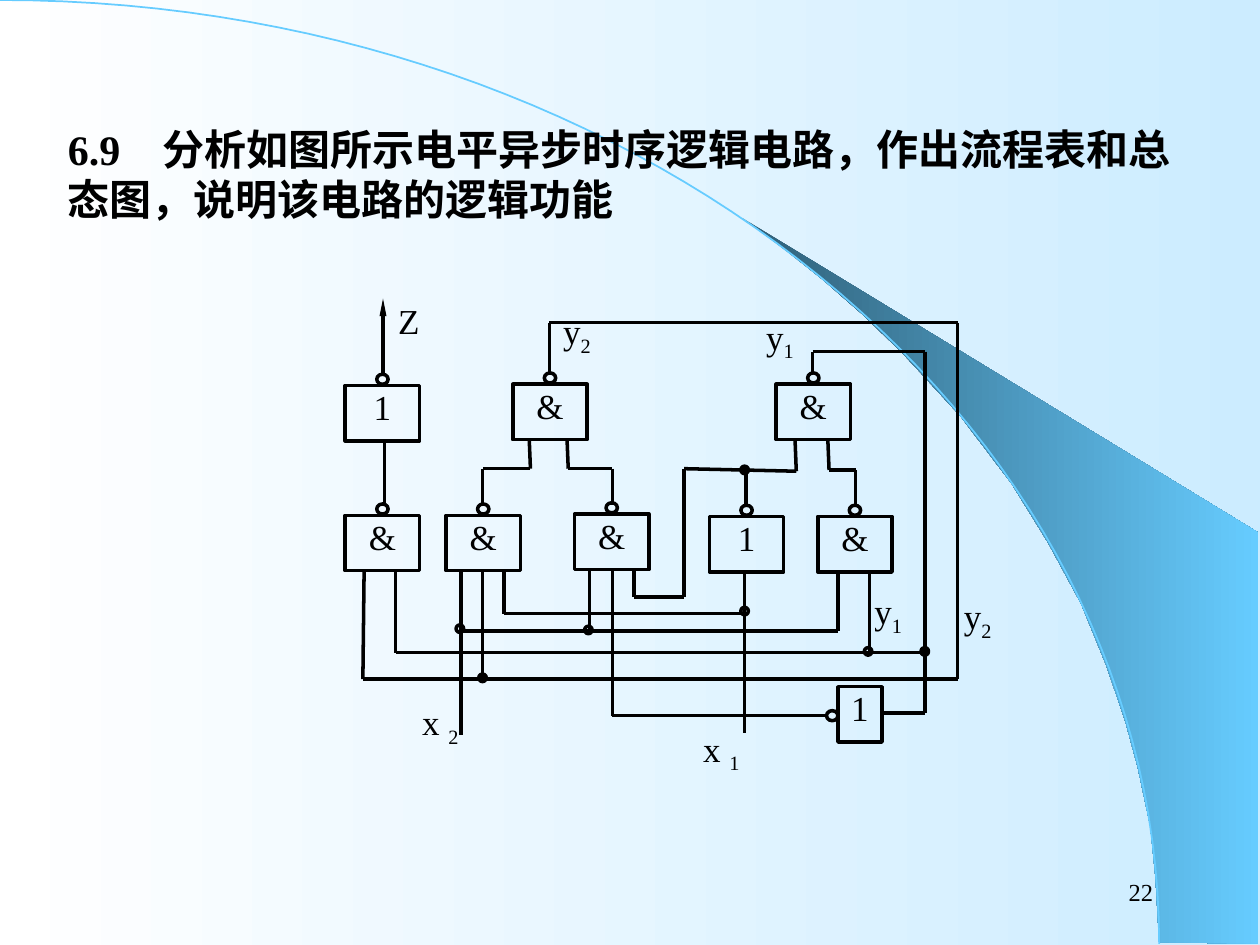
from itertools import pairwise
from typing import NamedTuple

from lxml.etree import SubElement
from pptx import Presentation
from pptx.dml.color import RGBColor
from pptx.dml.fill import FillFormat
from pptx.enum.shapes import MSO_CONNECTOR, MSO_SHAPE
from pptx.enum.text import MSO_ANCHOR, PP_ALIGN
from pptx.oxml.ns import qn
from pptx.shapes.autoshape import Shape
from pptx.slide import Slide
from pptx.text.text import TextFrame, _Paragraph
from pptx.util import Emu, Pt

PX_PER_INCH = 100
LATIN = "Times New Roman"
CHINESE = "Noto Sans CJK SC"
BLACK = "000000"
SKY = "66CCFF"
Point = tuple[float, float]


class Gate(NamedTuple):
    left: int
    top: int
    symbol: str


class Junction(NamedTuple):
    left: int
    top: int
    solid: bool = False


class Label(NamedTuple):
    left: int
    top: int
    letter: str
    index: str = ""


GATES = [
    Gate(274, 306, "1"), Gate(407, 305, "&"), Gate(616, 305, "&"),
    Gate(274, 409, "&"), Gate(354, 409, "&"), Gate(456, 408, "&"),
    Gate(563, 410, "1"), Gate(649, 410, "&"),
]
JUNCTIONS = [
    Junction(588, 482), Junction(588, 370, True), Junction(464, 497),
    Junction(362, 496), Junction(380, 535), Junction(686, 514),
    Junction(731, 514, True),
]
LABELS = [
    Label(608, 250, "y", "1"), Label(447, 246, "y", "2"),
    Label(694, 468, "y", "1"), Label(765, 472, "y", "2"),
    Label(558, 577, "x ", "1"), Label(335, 556, "x ", "2"),
    Label(316, 238, "Z"),
]
WIRES: list[list[Point]] = [
    [(305, 401), (305, 349)],
    [(420, 348), (421, 372), (383, 372), (383, 401)],
    [(450, 348), (451, 372), (486, 372), (486, 401)],
    [(631, 349), (632, 374), (543, 372), (543, 474), (503, 474), (503, 452)],
    [(592, 401), (592, 372)],
    [(657, 348), (658, 373), (679, 373), (679, 401)],
    [(591, 453), (591, 582)],
    [(591, 487), (400, 487), (400, 453)],
    [(665, 454), (665, 501), (365, 501)],
    [(468, 501), (468, 452)],
    [(690, 453), (690, 518)],
    [(734, 518), (314, 518), (314, 453)],
    [(383, 540), (383, 454)],
    [(366, 454), (366, 583)],
    [(289, 453), (288, 539), (760, 539), (760, 256), (436, 256), (436, 297)],
    [(645, 297), (645, 279), (734, 279), (734, 566), (701, 566)],
    [(655, 568), (486, 568), (486, 452)],
]
FAN: list[Point] = [
    (920, 748), (999, 749), (999, 423), (589, 173), (624, 199), (653, 222),
    (685, 250), (716, 280), (762, 330), (803, 384), (832, 431), (858, 479),
    (878, 528), (893, 572), (903, 609), (913, 656), (917, 696),
]


def px(length: float) -> Emu:
    return Emu(round(length * 914400 / PX_PER_INCH))


def color(value: str) -> RGBColor:
    return RGBColor.from_string(value)


def fill_gradient(fill: FillFormat, start: str, end: str) -> None:
    fill.gradient()
    fill.gradient_angle = 0
    for stop, value in zip(fill.gradient_stops, (start, end)):
        stop.color.rgb = color(value)


def add_outline(slide: Slide, points: list[Point], close: bool) -> Shape:
    corners = [(px(x), px(y)) for x, y in points]
    builder = slide.shapes.build_freeform(*corners[0])
    builder.add_line_segments(corners[1:], close=close)
    outline = builder.convert_to_shape()
    outline.shadow.inherit = False
    return outline


def bezier(start: Point, pull: Point, push: Point, end: Point, steps: int = 60) -> list[Point]:
    def at(t: float, axis: int) -> float:
        u = 1 - t
        return (u**3 * start[axis] + 3 * u * u * t * pull[axis]
                + 3 * u * t * t * push[axis] + t**3 * end[axis])
    return [(at(i / steps, 0), at(i / steps, 1)) for i in range(steps + 1)]


def add_backdrop(slide: Slide) -> None:
    fill_gradient(slide.background.fill, "FFFFFF", "CCECFF")
    fan = add_outline(slide, FAN, True)
    fill_gradient(fan.fill, "2F5E76", SKY)
    fan.line.fill.background()
    arc = add_outline(slide, bezier((0, 0), (508, 0), (920, 335), (920, 749)), False)
    arc.fill.background()
    arc.line.color.rgb = color(SKY)
    arc.line.width = Pt(1)


def add_run(paragraph: _Paragraph, text: str, size: int, face: str = LATIN,
            bold: bool = False, subscript: bool = False) -> None:
    run = paragraph.add_run()
    run.text = text
    run.font.size = Pt(size)
    run.font.name = face
    run.font.bold = bold
    run.font.color.rgb = color(BLACK)
    properties = run._r.get_or_add_rPr()
    SubElement(properties, qn("a:ea")).set("typeface", face)
    if subscript:
        properties.set("baseline", "-25000")


def clear_margins(frame: TextFrame) -> None:
    frame.margin_left = frame.margin_right = frame.margin_top = frame.margin_bottom = 0


def add_text(slide: Slide, left: int, top: int, width: int, height: int) -> TextFrame:
    frame = slide.shapes.add_textbox(px(left), px(top), px(width), px(height)).text_frame
    frame.word_wrap = True
    return frame


def add_figure(slide: Slide, kind: MSO_SHAPE, left: int, top: int,
               width: int, height: int, solid: bool = False) -> Shape:
    figure = slide.shapes.add_shape(kind, px(left), px(top), px(width), px(height))
    figure.shadow.inherit = False
    if solid:
        figure.fill.solid()
        figure.fill.fore_color.rgb = color(BLACK)
    else:
        figure.fill.background()
    figure.line.color.rgb = color(BLACK)
    figure.line.width = Pt(2)
    return figure


def add_gate(slide: Slide, gate: Gate, width: int = 59, bubble: Point = (25, -9)) -> None:
    body = add_figure(slide, MSO_SHAPE.RECTANGLE, gate.left, gate.top, width, 44)
    frame = body.text_frame
    clear_margins(frame)
    frame.vertical_anchor = MSO_ANCHOR.TOP
    frame.paragraphs[0].alignment = PP_ALIGN.CENTER
    add_run(frame.paragraphs[0], gate.symbol, 20)
    add_figure(slide, MSO_SHAPE.OVAL, gate.left + bubble[0], gate.top + bubble[1], 9, 8)


def add_wire(slide: Slide, points: list[Point], arrow: bool = False) -> None:
    for start, end in pairwise(points):
        wire = slide.shapes.add_connector(
            MSO_CONNECTOR.STRAIGHT, px(start[0]), px(start[1]), px(end[0]), px(end[1]))
        wire.line.color.rgb = color(BLACK)
        wire.line.width = Pt(2)
        if arrow:
            tip = SubElement(wire.line._get_or_add_ln(), qn("a:tailEnd"))
            for key, value in (("type", "triangle"), ("w", "sm"), ("len", "lg")):
                tip.set(key, value)
        SubElement(wire._element.spPr, qn("a:effectLst"))


def add_label(slide: Slide, label: Label) -> None:
    frame = add_text(slide, label.left, label.top, 40, 48)
    clear_margins(frame)
    add_run(frame.paragraphs[0], label.letter, 20)
    if label.index:
        add_run(frame.paragraphs[0], label.index, 20, subscript=True)


def add_question(slide: Slide) -> None:
    question = add_text(slide, 44, 93, 900, 90).paragraphs[0]
    stops = SubElement(question._p.get_or_add_pPr(), qn("a:tabLst"))
    stop = SubElement(stops, qn("a:tab"))
    stop.set("pos", str(px(75)))
    stop.set("algn", "l")
    add_run(question, "6.9\t", 24, bold=True)
    add_run(question, "分析如图所示电平异步时序逻辑电路，作出流程表和总态图，说明该电路的逻辑功能",
            24, CHINESE, bold=True)


def main() -> None:
    deck = Presentation()
    deck.slide_width, deck.slide_height = px(1000), px(750)
    slide = deck.slides.add_slide(deck.slide_layouts[6])
    add_backdrop(slide)
    page = add_text(slide, 717, 683, 208, 50)
    page.vertical_anchor = MSO_ANCHOR.MIDDLE
    page.paragraphs[0].alignment = PP_ALIGN.RIGHT
    add_run(page.paragraphs[0], "22", 14)
    add_question(slide)
    add_wire(slide, [(304, 297), (304, 237)], arrow=True)
    for wire in WIRES:
        add_wire(slide, wire)
    for gate in GATES:
        add_gate(slide, gate)
    add_gate(slide, Gate(665, 545, "1"), 35, (-9, 19))
    for junction in JUNCTIONS:
        add_figure(slide, MSO_SHAPE.OVAL, junction.left, junction.top, 6, 6, junction.solid)
    for label in LABELS:
        add_label(slide, label)
    deck.save("out.pptx")


if __name__ == "__main__":
    main()
